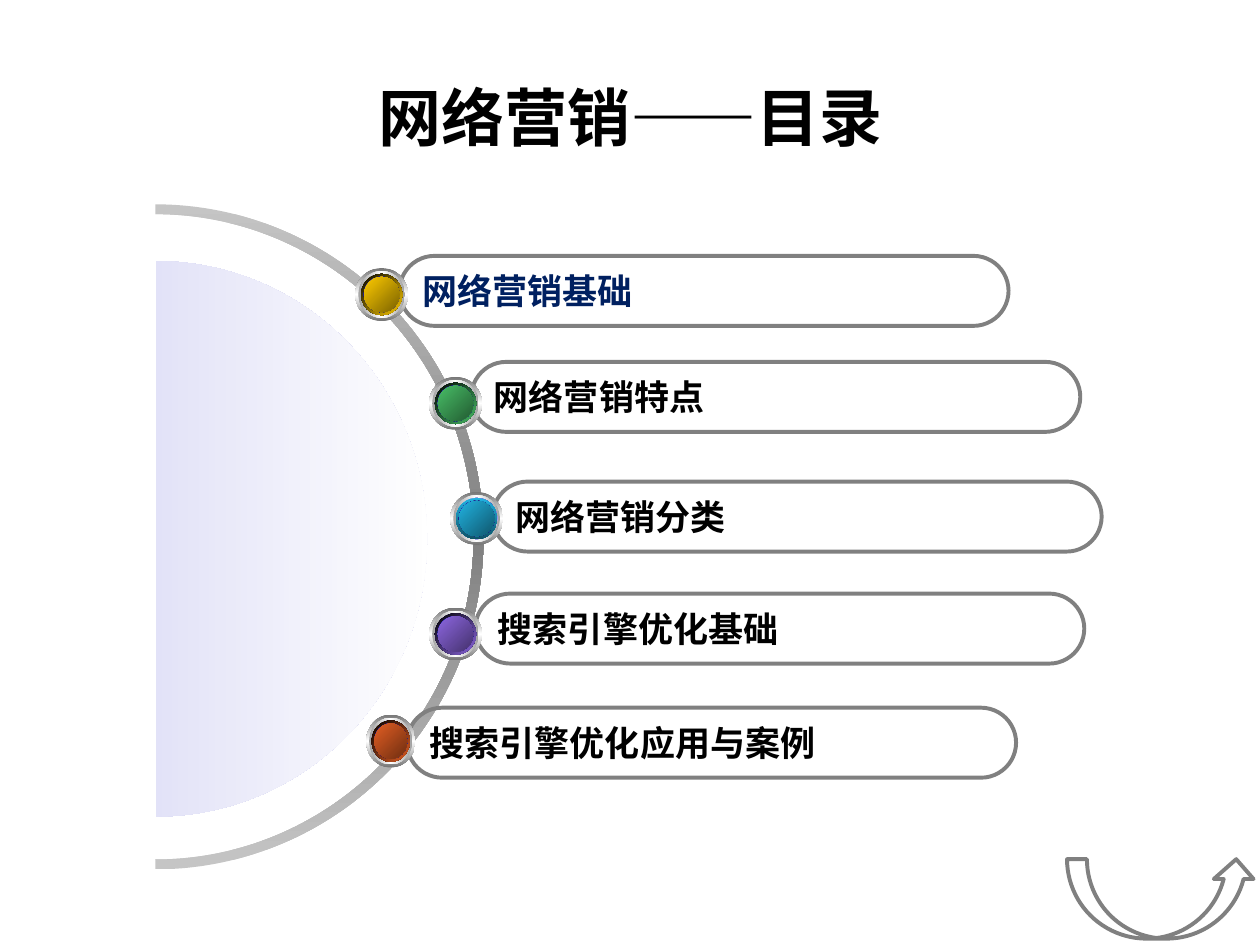
import pptx
import pptx.dml.color
import pptx.enum.shapes
import pptx.enum.text
import pptx.oxml
import pptx.oxml.ns
import pptx.util
from lxml import etree

Pt = pptx.util.Pt
RGBColor = pptx.dml.color.RGBColor
SHAPE = pptx.enum.shapes.MSO_SHAPE
MIDDLE = pptx.enum.text.MSO_ANCHOR.MIDDLE
ALIGN = pptx.enum.text.PP_ALIGN

BLACK = RGBColor(0x00, 0x00, 0x00)
WHITE = RGBColor(0xFF, 0xFF, 0xFF)
NAVY = RGBColor(0x00, 0x20, 0x60)
GRAY = RGBColor(0x80, 0x80, 0x80)
LIGHT_GRAY = RGBColor(0xC5, 0xC5, 0xC5)
RIM_GRAY = RGBColor(0x76, 0x76, 0x76)
INNER_RIM_GRAY = RGBColor(0xA2, 0xA2, 0xA2)
BLUE = RGBColor(0x33, 0x33, 0xCC)
DARK_BLUE = RGBColor(0x1C, 0x1C, 0x6E)
GOLD, DARK_GOLD = RGBColor(0xFF, 0xCC, 0x00), RGBColor(0x7C, 0x63, 0x00)
GREEN, DARK_GREEN = RGBColor(0x48, 0xBE, 0x67), RGBColor(0x23, 0x5C, 0x32)
CYAN, DARK_CYAN = RGBColor(0x21, 0xB3, 0xE1), RGBColor(0x10, 0x57, 0x6D)
CYAN_RIM = RGBColor(0x0F, 0x53, 0x68)
PURPLE, DARK_PURPLE = RGBColor(0x8D, 0x67, 0xE1), RGBColor(0x45, 0x32, 0x6D)
ORANGE, DARK_ORANGE = RGBColor(0xE3, 0x5E, 0x23), RGBColor(0x6E, 0x2E, 0x11)


def add_gradient_shape(kind, left, top, width, height, colors, angle, alpha=100):
    """Add a borderless shape whose colours are spread evenly along the angle."""
    shape = slide.shapes.add_shape(kind, Pt(left), Pt(top), Pt(width), Pt(height))
    shape.shadow.inherit = False
    shape.line.fill.background()
    shape.fill.gradient()
    gradient = shape.fill._xPr.find(pptx.oxml.ns.qn("a:gradFill"))
    stops = "".join(
        f'<a:gs pos="{100000 * index // (len(colors) - 1)}"><a:srgbClr val="{color}">'
        f'<a:alpha val="{alpha * 1000}"/></a:srgbClr></a:gs>'
        for index, color in enumerate(colors))
    gradient.getparent().replace(gradient, pptx.oxml.parse_xml(
        f'<a:gradFill {pptx.oxml.ns.nsdecls("a")} rotWithShape="1"><a:gsLst>{stops}</a:gsLst>'
        f'<a:lin ang="{angle * 60000}" scaled="0"/></a:gradFill>'))
    return shape


def add_outline_shape(kind, left, top, width, height):
    """Add an unfilled shape with a gray outline."""
    shape = slide.shapes.add_shape(kind, Pt(left), Pt(top), Pt(width), Pt(height))
    shape.shadow.inherit = False
    shape.fill.background()
    shape.line.color.rgb = GRAY
    shape.line.width = Pt(2.25)
    return shape


presentation = pptx.Presentation()
presentation.slide_width = Pt(720)
presentation.slide_height = Pt(540)
slide = presentation.slides.add_slide(presentation.slide_layouts[5])

# Title
title = slide.shapes.title
title.left, title.top, title.width, title.height = Pt(36), Pt(21.6), Pt(648), Pt(90)
title.text_frame.text = "网络营销——目录"
title.text_frame.vertical_anchor = MIDDLE
paragraph = title.text_frame.paragraphs[0]
paragraph.alignment = ALIGN.CENTER
font = paragraph.runs[0].font
font.name, font.size, font.bold = "Roboto", Pt(36), True
font.color.rgb = BLACK

# Half ring and half disc, both from 270 to 90 degrees
ring = add_gradient_shape(SHAPE.BLOCK_ARC, -98.7, 116.8, 375, 380,
                          [LIGHT_GRAY, GRAY, LIGHT_GRAY], 90)
disc = add_gradient_shape(SHAPE.CHORD, -65.5, 149.2, 309.6, 317.4, [BLUE, WHITE], 0, alpha=28)
for half in (ring, disc):
    half.adjustments[0] = 162
    half.adjustments[1] = 54
ring.adjustments[2] = 0.015

# Topics: text, text colour, bar left and top, button left, top and width,
# button colours (light, dark), rim colours and rim angle
topics = [
    ("网络营销基础", NAVY, 228.3, 146.2, 203, 153.2, 30.2, (GOLD, DARK_GOLD), (BLACK, GOLD), 45),
    ("网络营销特点", BLACK, 269.3, 206.8, 245.2, 215.4, 30.2, (GREEN, DARK_GREEN), (BLACK, GREEN), 45),
    ("网络营销分类", BLACK, 281.5, 275.2, 257.3, 281.2, 30.2, (CYAN, DARK_CYAN), (CYAN, CYAN_RIM), 90),
    ("搜索引擎优化基础", BLACK, 271.6, 339.2, 245.2, 347.2, 30.2, (PURPLE, DARK_PURPLE), (BLACK, PURPLE), 45),
    ("搜索引擎优化应用与案例", BLACK, 232.6, 404.4, 209.3, 408.4, 28, (ORANGE, DARK_ORANGE), (BLACK, ORANGE), 45),
]

# Topic bars, the lowest at the back
for text, color, left, top, *_ in reversed(topics):
    bar = add_outline_shape(SHAPE.ROUNDED_RECTANGLE, left, top, 348, 40)
    bar.adjustments[0] = 0.5
    bar.text_frame.text = text
    bar.text_frame.word_wrap = False
    bar.text_frame.vertical_anchor = MIDDLE
    paragraph = bar.text_frame.paragraphs[0]
    paragraph.alignment = ALIGN.LEFT
    font = paragraph.runs[0].font
    font.name, font.size, font.bold = "Noto Sans CJK SC", Pt(20), True
    font.color.rgb = color
    east_asian = etree.SubElement(font._element, pptx.oxml.ns.qn("a:ea"))
    east_asian.set("typeface", "Noto Sans CJK SC")

# Round buttons made of concentric layers
BUTTON_HEIGHT = 30.2
for *_, left, top, width, face, rim, rim_angle in topics:
    layers = [
        (30.2, (RIM_GRAY, WHITE, RIM_GRAY), 90),
        (26.6, (INNER_RIM_GRAY, WHITE, INNER_RIM_GRAY), 0),
        (23.6, (WHITE, BLUE, WHITE), 45),
        (23.6, rim, rim_angle),
        (20.4, (DARK_BLUE, BLUE, DARK_BLUE), 315),
        (20.2, face, 45),
    ]
    for size, colors, angle in layers:
        layer_width = width * size / BUTTON_HEIGHT
        add_gradient_shape(SHAPE.OVAL, left + (width - layer_width) / 2,
                           top + (BUTTON_HEIGHT - size) / 2, layer_width, size, colors, angle)

# Return arrow
add_outline_shape(SHAPE.CURVED_UP_ARROW, 609.8, 491, 108, 45.4)

presentation.save("out.pptx")
